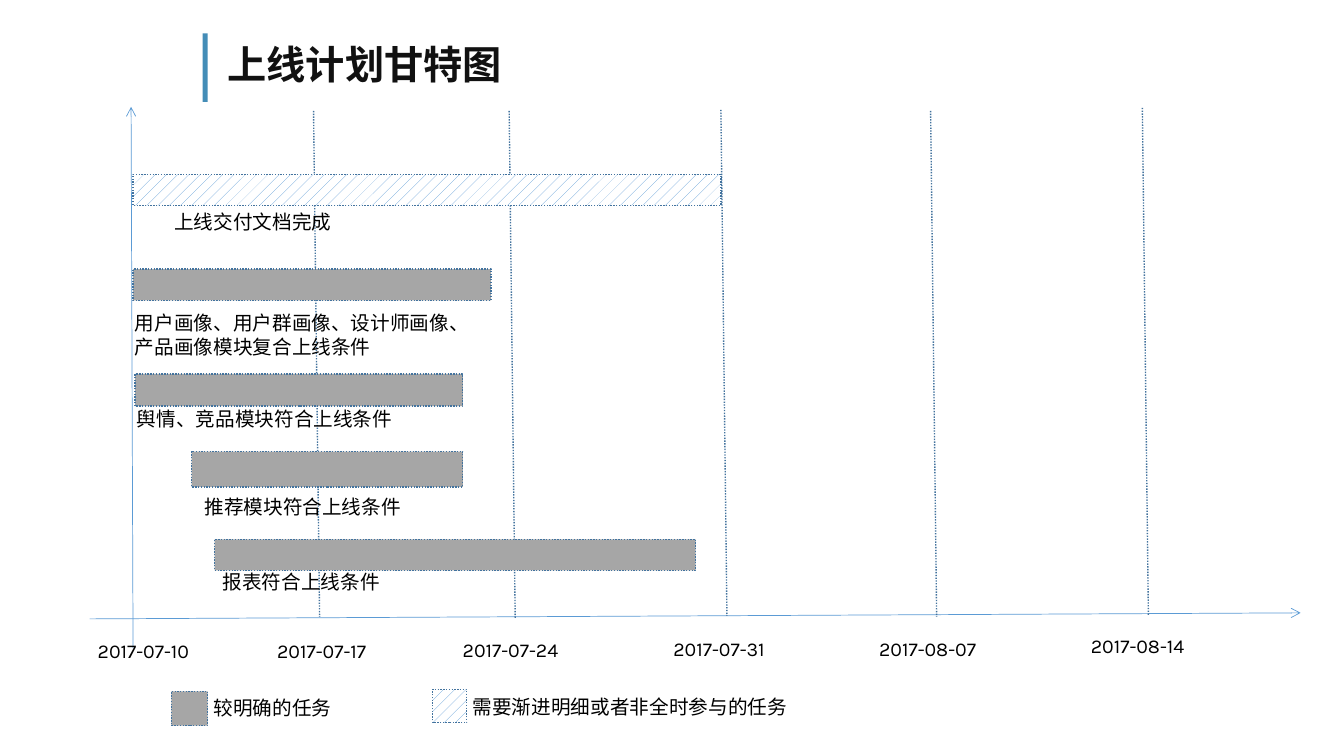
from pptx import Presentation
from pptx.dml.color import RGBColor
from pptx.enum.dml import MSO_LINE as Dash, MSO_PATTERN as Pat
from pptx.enum.shapes import MSO_CONNECTOR as Conn, MSO_SHAPE as Shape
from pptx.enum.text import MSO_ANCHOR as Anchor, MSO_AUTO_SIZE as Fit
from pptx.oxml.ns import qn
from pptx.util import Inches, Pt
from lxml.etree import SubElement

BLACK = RGBColor(0, 0, 0)
INK = RGBColor(0x11, 0x11, 0x11)
WHITE = RGBColor(0xFF, 0xFF, 0xFF)
GREY = RGBColor(0xA6, 0xA6, 0xA6)
TEAL = RGBColor(0x44, 0x8D, 0xB7)
BLUE = RGBColor(0x5B, 0x9B, 0xD5)
NAVY = RGBColor(0x43, 0x73, 0x9E)
HAN = "Noto Sans CJK SC"

deck = Presentation()
deck.slide_width, deck.slide_height = Inches(13.33), Inches(7.5)
slide = deck.slides.add_slide(deck.slide_layouts[6])
shapes = slide.shapes


def write(text, x, y, w, h=0.34, size=14, font="Karla", color=BLACK,
          bold=False, anchor=Anchor.TOP, fit=Fit.SHAPE_TO_FIT_TEXT, space=1.0):
    frame = shapes.add_textbox(Inches(x), Inches(y), Inches(w), Inches(h)).text_frame
    frame.word_wrap = True
    frame.auto_size = fit
    frame.vertical_anchor = anchor
    para = frame.paragraphs[0]
    para.line_spacing = space
    run = para.add_run()
    run.text = text
    run.font.size = Pt(size)
    run.font.name = font
    run.font.bold = bold
    run.font.color.rgb = color
    SubElement(run.font._element, qn("a:ea"), typeface=HAN)


def rule(start, end, color, width):
    line = shapes.add_connector(Conn.STRAIGHT, *map(Inches, start + end))
    line.line.color.rgb = color
    line.line.width = Pt(width)
    SubElement(line._element.spPr, qn("a:effectLst"))
    return line.line


mark = shapes.add_shape(Shape.RECTANGLE, Inches(2.01), Inches(0.33), Inches(0.05), Inches(0.68))
mark.shadow.inherit = False
mark.fill.solid()
mark.fill.fore_color.rgb = TEAL
mark.line.fill.background()
write("上线计划甘特图", 2.16, 0.33, 9.2, 0.66, size=28, font=HAN, color=INK,
      bold=True, anchor=Anchor.MIDDLE, fit=Fit.NONE, space=0.9)

for start, end in [((1.32, 6.43), (1.3, 1.06)), ((0.89, 6.14), (12.9, 6.08))]:
    axis = rule(start, end, BLUE, 0.5)
    SubElement(axis._get_or_add_ln(), qn("a:tailEnd"), type="arrow")

for x, top, foot in [(3.11, 1.1, 6.12), (5.05, 1.1, 6.13), (7.15, 1.09, 6.11),
                     (9.23, 1.1, 6.12), (11.33, 1.07, 6.1)]:
    rule((x, top), (x + 0.06, foot), NAVY, 1).dash_style = Dash.ROUND_DOT

for date, x, y in [("2017-07-10", 0.87, 6.29), ("2017-07-17", 2.65, 6.29),
                   ("2017-07-24", 4.49, 6.28), ("2017-07-31", 6.58, 6.27),
                   ("2017-08-07", 8.62, 6.27), ("2017-08-14", 10.72, 6.24)]:
    write(date, x, y, 1.78)

tasks = [
    ("上线交付文档完成", (1.32, 1.73, 5.83, 0.31), (1.63, 2.03, 3.12), True),
    ("用户画像、用户群画像、设计师画像、产品画像模块复合上线条件",
     (1.32, 2.67, 3.55, 0.31), (1.24, 3.04, 3.39, 0.57), False),
    ("舆情、竞品模块符合上线条件", (1.34, 3.71, 3.25, 0.32), (1.26, 3.99, 3.12), False),
    ("推荐模块符合上线条件", (1.9, 4.48, 2.69, 0.35), (1.93, 4.86, 3.12), False),
    ("报表符合上线条件", (2.13, 5.35, 4.77, 0.31), (2.11, 5.61, 3.12), False),
]
legend = [
    ("较明确的任务", (1.7, 6.86, 0.36, 0.34), (2.02, 6.85, 1.45), False),
    ("需要渐进明细或者非全时参与的任务", (4.29, 6.84, 0.34, 0.33), (4.59, 6.84, 3.35), True),
]
for name, box, label, loose in tasks + legend:
    bar = shapes.add_shape(Shape.RECTANGLE, *map(Inches, box))
    bar.shadow.inherit = False
    if loose:
        bar.fill.patterned()
        bar.fill.pattern = Pat.PERCENT_10
        bar.fill.fore_color.rgb = BLUE
        bar.fill.back_color.rgb = WHITE
    else:
        bar.fill.solid()
        bar.fill.fore_color.rgb = GREY
    bar.line.color.rgb = NAVY
    bar.line.width = Pt(1)
    bar.line.dash_style = Dash.ROUND_DOT
    write(name, *label)

deck.save("out.pptx")
